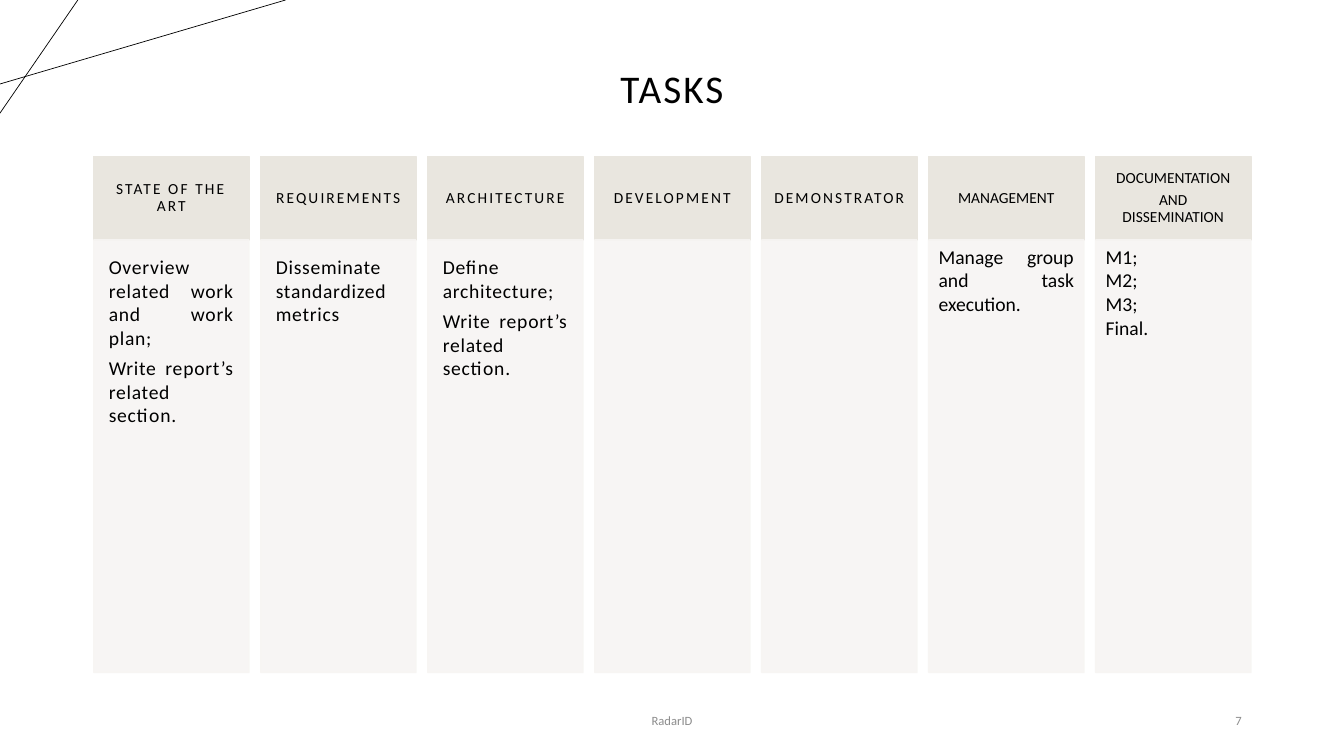
"""Build the project tasks slide with seven work-package columns."""
from lxml import etree
from pptx import Presentation
from pptx.dml.color import RGBColor
from pptx.enum.shapes import MSO_CONNECTOR, MSO_SHAPE
from pptx.enum.text import MSO_ANCHOR, PP_ALIGN
from pptx.oxml.ns import qn
from pptx.util import Pt

STRAIGHT = MSO_CONNECTOR.STRAIGHT
RECTANGLE = MSO_SHAPE.RECTANGLE
TOP, MIDDLE, BOTTOM = MSO_ANCHOR.TOP, MSO_ANCHOR.MIDDLE, MSO_ANCHOR.BOTTOM
CENTER, RIGHT, JUSTIFY = PP_ALIGN.CENTER, PP_ALIGN.RIGHT, PP_ALIGN.JUSTIFY

BLACK = RGBColor(0x00, 0x00, 0x00)
GRAY = RGBColor(0x8C, 0x8C, 0x8C)
HEADER_FILL = RGBColor(0xE9, 0xE6, 0xDF)
BODY_FILL = RGBColor(0xF7, 0xF5, 0xF3)

LEFT, PITCH, WIDTH = 66.96, 119.28, 110.88
HEADER_TOP, HEADER_HEIGHT, BODY_HEIGHT = 111.6, 59.76, 309

SECTION = "Write report’s related section."
# heading, heading tracking, body paragraphs, body tracking, body (x, y) insets, space after
TASKS = [
    ("STATE OF THE ART", 1.5, ["Overview related work and work plan;", SECTION], 0.5, (10.8, 10.8), 4.9),
    ("REQUIREMENTS", 1.5, ["Disseminate standardized metrics"], 0.5, (10.8, 10.8), 4.9),
    ("ARCHITECTURE", 1.5, ["Define architecture;", SECTION], 0.5, (10.8, 10.8), 4.9),
    ("DEVELOPMENT", 1.5, [], 0, (7.2, 3.6), 0),
    ("DEMONSTRATOR", 1.5, [], 0, (7.2, 3.6), 0),
    ("MANAGEMENT", 0, ["Manage group and task execution."], 0, (7.2, 3.6), 0),
    ("DOCUMENTATION\nAND DISSEMINATION", 0, ["M1;", "M2;", "M3;", "Final."], 0, (7.2, 3.6), 0),
]


def write(sp, text, size, align, anchor, color=BLACK, tracking=0, leading=1.0, after=0, insets=(7.2, 3.6)):
    tf = sp.text_frame
    tf.text = text
    tf.word_wrap = True
    tf.vertical_anchor = anchor
    tf.margin_left = tf.margin_right = Pt(insets[0])
    tf.margin_top = tf.margin_bottom = Pt(insets[1])
    for p in tf.paragraphs:
        p.alignment = align
        p.line_spacing = leading
        p.space_before = Pt(0)
        p.space_after = Pt(after)
        for r in p.runs:
            r.font.name = "Calibri"
            r.font.size = Pt(size)
            r.font.color.rgb = color
            if tracking:
                r._r.get_or_add_rPr().set("spc", str(int(tracking * 100)))


def add_panel(x, y, height, color, opacity=100):
    sp = s.shapes.add_shape(RECTANGLE, Pt(x), Pt(y), Pt(WIDTH), Pt(height))
    sp.shadow.inherit = False
    sp.fill.solid()
    sp.fill.fore_color.rgb = color
    sp.line.color.rgb = color
    sp.line.width = Pt(1)
    if opacity < 100:
        for clr in sp._element.spPr.iter(qn("a:srgbClr")):
            etree.SubElement(clr, qn("a:alpha")).set("val", str(opacity * 1000))
    return sp


prs = Presentation()
prs.slide_width, prs.slide_height = Pt(960), Pt(540)
s = prs.slides.add_slide(prs.slide_layouts[5])

for x1, y1, x2, y2 in [(0, 60, 204, 0), (55.6, 0, 0, 80.8)]:
    line = s.shapes.add_connector(STRAIGHT, Pt(x1), Pt(y1), Pt(x2), Pt(y2))
    line.line.color.rgb = BLACK
    line.line.width = Pt(0.5)
    etree.SubElement(line._element.spPr, qn("a:effectLst"))

for i, (heading, heading_tracking, body, tracking, insets, after) in enumerate(TASKS):
    x = LEFT + i * PITCH
    header = add_panel(x, HEADER_TOP, HEADER_HEIGHT, HEADER_FILL)
    write(header, heading, 11, CENTER, MIDDLE, tracking=heading_tracking,
          leading=0.9, after=3.85, insets=(8.64, 8.64))
    panel = add_panel(x, HEADER_TOP + HEADER_HEIGHT, BODY_HEIGHT, BODY_FILL, 90)
    if body:
        write(panel, "\n".join(body), 14, JUSTIFY, TOP, tracking=tracking, after=after, insets=insets)

for text, x, width, align in [("RadarID", 318, 324, CENTER), ("7", 678, 216, RIGHT)]:
    footer = s.shapes.add_textbox(Pt(x), Pt(500.4), Pt(width), Pt(28.8))
    write(footer, text, 9, align, MIDDLE, color=GRAY)

title = s.shapes.title
title.left, title.top, title.width, title.height = Pt(66), Pt(0), Pt(828), Pt(83.5)
write(title, "TASKS", 28, CENTER, BOTTOM, tracking=1.5, leading=0.9)

prs.save("out.pptx")
